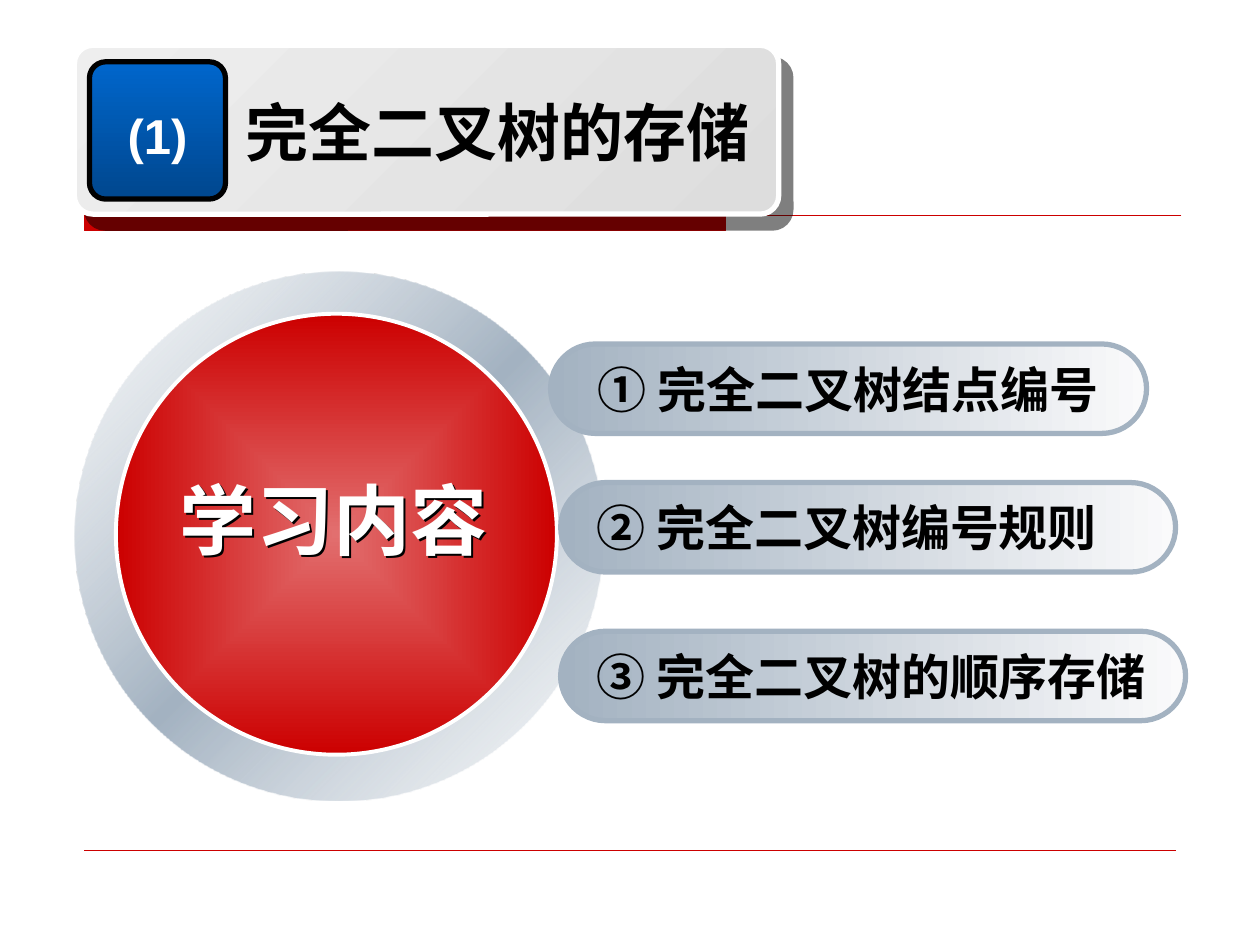
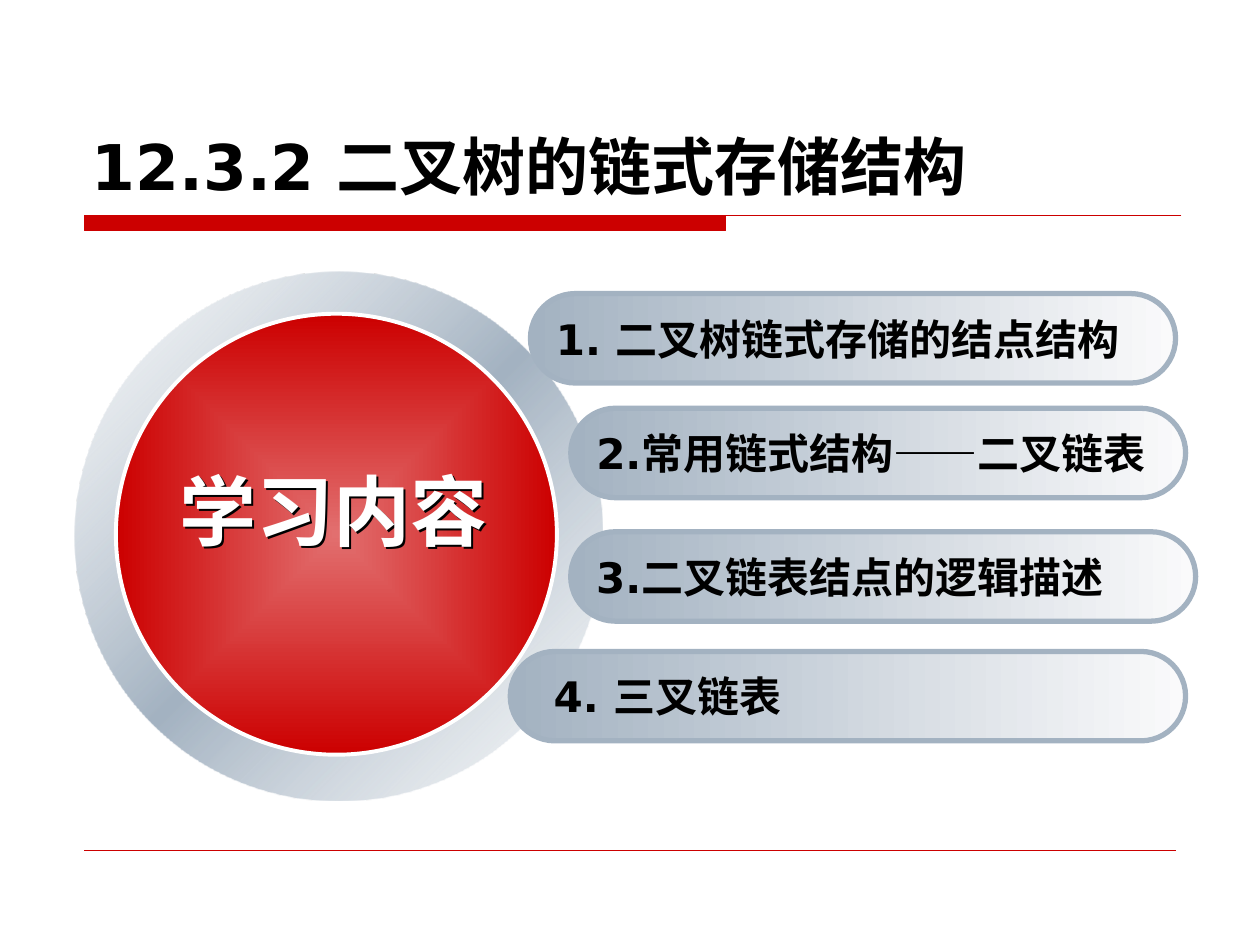
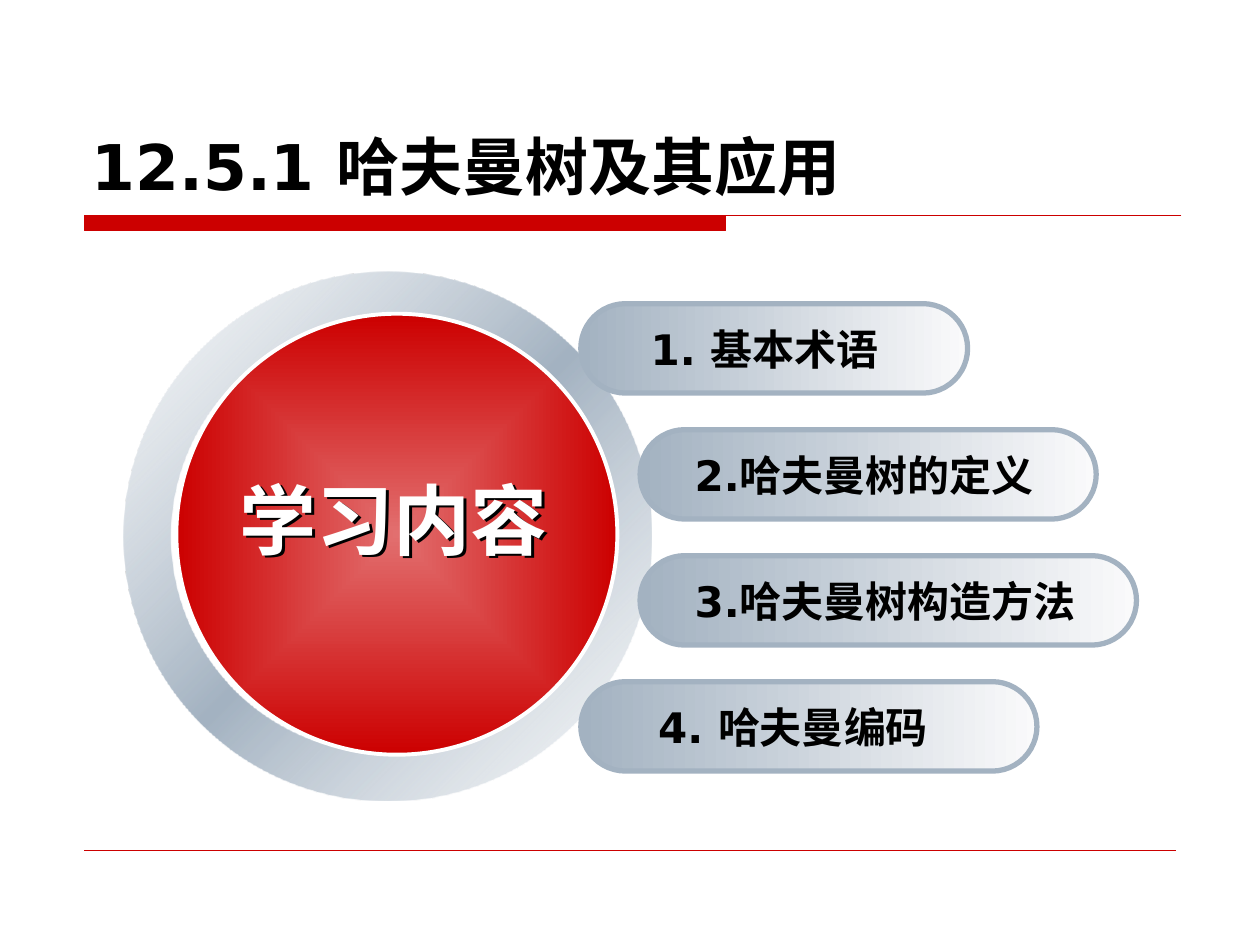
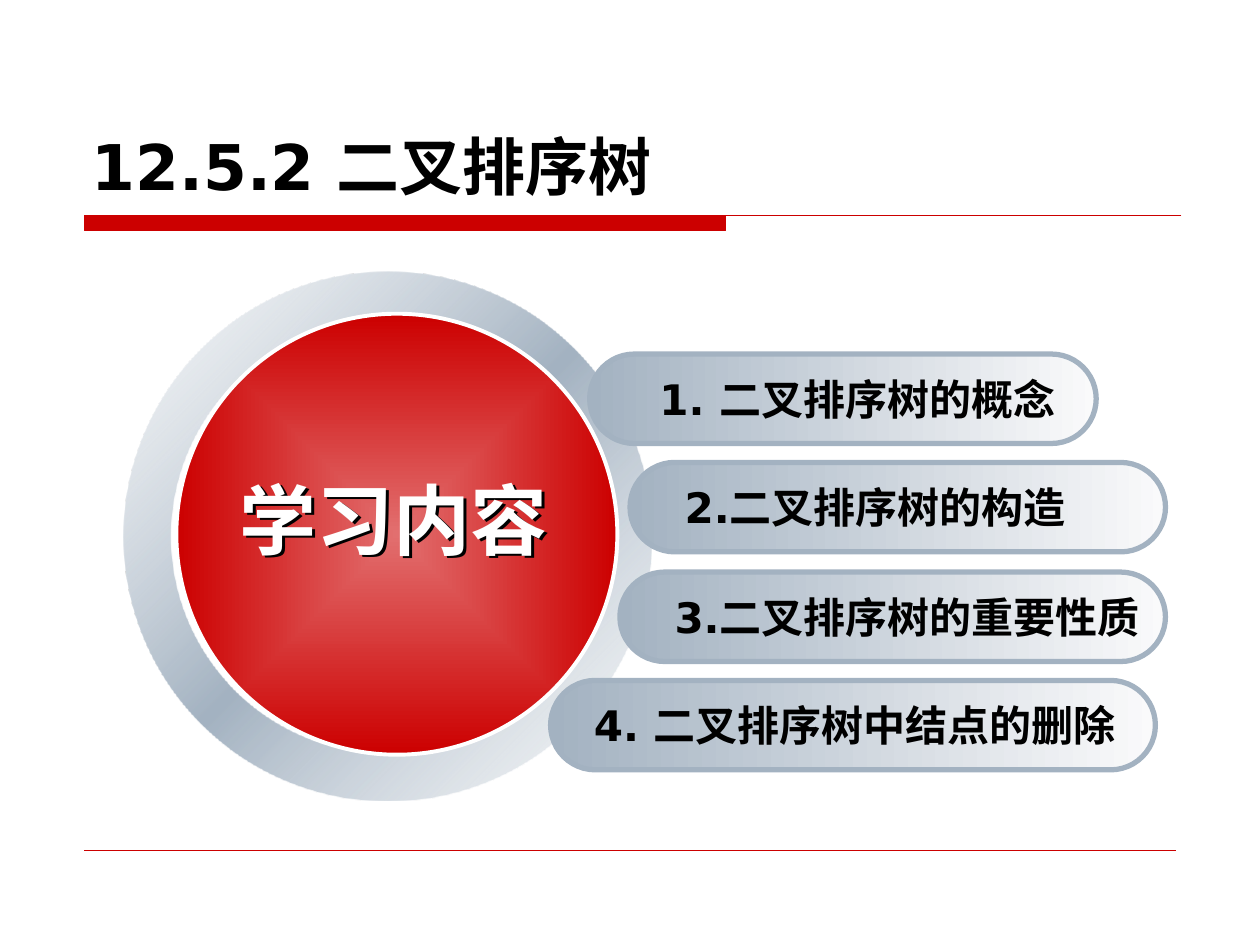
from lxml import etree
from pptx import Presentation
from pptx.dml.color import RGBColor
from pptx.enum.shapes import MSO_CONNECTOR, MSO_SHAPE
from pptx.enum.text import MSO_ANCHOR, PP_ALIGN
from pptx.oxml.ns import qn
from pptx.util import Inches, Pt

ROUNDED, OVAL, DONUT = MSO_SHAPE.ROUNDED_RECTANGLE, MSO_SHAPE.OVAL, MSO_SHAPE.DONUT
LINE = MSO_CONNECTOR.STRAIGHT
TOP, MIDDLE, BOTTOM = MSO_ANCHOR.TOP, MSO_ANCHOR.MIDDLE, MSO_ANCHOR.BOTTOM
LEFT, CENTER = PP_ALIGN.LEFT, PP_ALIGN.CENTER

COLORS = {
    "red": "CC0000", "rose": "E26F6F", "white": "FFFFFF", "black": "000000",
    "steel": "A3B2C1", "mist": "C7D0D9", "pale": "FAFAFB",
    "card_light": "EEEEEE", "card_dark": "DDDDDD",
    "blue": "0066CC", "navy": "00478E",
}
SANS, ARIAL, CJK = "DejaVu Sans", "Arial", "Noto Sans CJK SC"
PILL_HEIGHT = 0.71


def rgb(name):
    return RGBColor.from_string(COLORS[name])


def add_xml(parent, tag, **attrs):
    return etree.SubElement(parent, qn(tag), {k: str(v) for k, v in attrs.items()})


def add_color(parent, name, opacity=100):
    color = add_xml(parent, "a:srgbClr", val=COLORS[name])
    if opacity < 100:
        add_xml(color, "a:alpha", val=opacity * 1000)


def add_shadow(s, distance, angle, opacity=100):
    """Hard black shadow; on an unfilled box it falls from the text."""
    s.shadow.inherit = False
    effects = s._element.spPr.find(qn("a:effectLst"))
    shadow = add_xml(effects, "a:outerShdw", blurRad=0, dist=Pt(distance),
                     dir=angle * 60000, algn="ctr", rotWithShape=0)
    add_color(shadow, "black", opacity)


def set_gradient(s, stops, angle=None):
    """Linear gradient at an angle, or one spreading from the centre."""
    s.fill.gradient()
    grad = s._element.spPr.find(qn("a:gradFill"))
    for child in list(grad):
        grad.remove(child)
    stop_list = add_xml(grad, "a:gsLst")
    for position, name, *opacity in stops:
        add_color(add_xml(stop_list, "a:gs", pos=position * 1000), name, *opacity)
    if angle is None:
        centre = add_xml(grad, "a:path", path="rect")
        add_xml(centre, "a:fillToRect", l=50000, t=50000, r=50000, b=50000)
    else:
        add_xml(grad, "a:lin", ang=angle * 60000, scaled=0)


def add_shape(slide, kind, box, stops, angle=None, line=None, width=3, adj=None):
    s = slide.shapes.add_shape(kind, *map(Inches, box))
    s.shadow.inherit = False
    if adj is not None:
        s.adjustments[0] = adj
    set_gradient(s, stops, angle)
    if line:
        s.line.color.rgb = rgb(line)
        s.line.width = Pt(width)
    else:
        s.line.fill.background()
    return s


def write(s, runs, size, color="black", font=SANS, align=LEFT, anchor=TOP,
          wrap=True, indent=0):
    """Write one bold paragraph; runs are texts or (text, font) pairs."""
    tf = s.text_frame
    tf.word_wrap = wrap
    tf.vertical_anchor = anchor
    tf.margin_left = Inches(0.1 + indent)
    p = tf.paragraphs[0]
    p.alignment = align
    p.font.size, p.font.bold, p.font.name = Pt(size), True, font
    p.font.color.rgb = rgb(color)
    latin = p.font._element.find(qn("a:latin"))
    latin.addnext(latin.makeelement(qn("a:ea"), {"typeface": CJK}))
    for run in runs:
        text, run_font = (run, None) if isinstance(run, str) else run
        r = p.add_run()
        r.text = text
        if run_font:
            r.font.name = run_font


def add_text(slide, box, text, size, **style):
    s = slide.shapes.add_textbox(*map(Inches, box))
    write(s, [text], size, **style)
    return s


def add_frame(slide):
    """Red title band running out into a rule, and a thin footer line."""
    corners = [(9.37, 1.71), (5.76, 1.71), (5.76, 1.83), (0.67, 1.83)]
    outline = slide.shapes.build_freeform(Inches(0.67), Inches(1.71))
    outline.add_line_segments([(Inches(x), Inches(y)) for x, y in corners])
    band = outline.convert_to_shape()
    band.shadow.inherit = False
    band.fill.solid()
    band.fill.fore_color.rgb = rgb("red")
    band.line.color.rgb = rgb("red")
    band.line.width = Pt(0.75)

    footer = slide.shapes.add_connector(LINE, *map(Inches, (0.67, 6.75, 9.33, 6.75)))
    footer.line.color.rgb = rgb("red")
    footer.line.width = Pt(0.25)
    add_xml(footer._element.spPr, "a:effectLst")


def add_title(slide, text):
    add_text(slide, (0.63, 0.33, 8.75, 1.33), text, 36, anchor=BOTTOM)


def add_title_card(slide, number, text):
    card = add_shape(slide, ROUNDED, (0.59, 0.36, 5.59, 1.34),
                     [(0, "card_light"), (100, "card_dark")], 45, "white", adj=0.11)
    add_shadow(card, 10.6, 49, 50)
    add_shape(slide, ROUNDED, (0.71, 0.49, 1.08, 1.09),
              [(0, "blue"), (100, "navy")], 90, "black", adj=0.12)
    # The number box spans the badge so that it stays on one line
    add_text(slide, (0.71, 0.79, 1.08, 0.57), number, 28, color="white",
             font=ARIAL, align=CENTER)
    add_text(slide, (1.85, 0.69, 4.48, 0.7), text, 36, font=ARIAL)


def add_hub(slide, ring_x, disc_x, label_y=3.7):
    """Grey ring with the red disc and its label."""
    add_shape(slide, DONUT, (ring_x, 2.16, 4.19, 4.19),
              [(0, "mist", 12), (50, "steel"), (100, "mist", 12)], 45, adj=0.09)
    add_shape(slide, OVAL, (disc_x, 2.49, 3.5, 3.5),
              [(0, "rose"), (100, "red")], line="white", width=2.25)
    label = add_text(slide, (disc_x + 0.22, label_y, 3.01, 0.84), "学习内容", 44,
                     color="white", font=ARIAL, align=CENTER)
    add_shadow(label, 2, 45)


def add_pills(slide, pills, size=24):
    for x, y, width, indent, *runs in pills:
        s = add_shape(slide, ROUNDED, (x, y, width, PILL_HEIGHT),
                      [(0, "steel"), (100, "pale")], 0, "steel", adj=0.5)
        write(s, runs, size, anchor=MIDDLE, wrap=False, indent=indent)


def add_slide(prs):
    slide = prs.slides.add_slide(prs.slide_layouts[6])
    add_frame(slide)
    return slide


def main():
    prs = Presentation()
    prs.slide_width, prs.slide_height = Inches(10), Inches(7.5)

    # Storing a complete binary tree
    slide = add_slide(prs)
    add_title_card(slide, "(1)", "完全二叉树的存储")
    add_hub(slide, 0.59, 0.92)
    add_pills(slide, [
        (4.37, 2.73, 4.73, 0.17, "① 完全二叉树结点编号"),
        (4.45, 3.83, 4.88, 0.08, "② ", ("完全二叉树编号规则", CJK)),
        (4.45, 5.01, 4.96, 0.08, "③ ", ("完全二叉树的顺序存储", CJK)),
    ], size=28)

    # Linked storage
    slide = add_slide(prs)
    add_title(slide, "12.3.2 二叉树的链式存储结构")
    add_hub(slide, 0.59, 0.92, label_y=3.63)
    add_pills(slide, [
        (4.21, 2.33, 5.12, 0, "1. 二叉树链式存储的结点结构"),
        (4.53, 3.24, 4.88, 0, "2.常用链式结构", ("——", ARIAL), "二叉链表"),
        (4.53, 4.22, 4.96, 0, "3.二叉链表结点的逻辑描述"),
        (4.05, 5.17, 5.36, 0.14, "4. 三叉链表"),
    ])

    # Huffman trees
    slide = add_slide(prs)
    add_title(slide, "12.5.1 哈夫曼树及其应用")
    add_hub(slide, 0.98, 1.4)
    add_pills(slide, [
        (4.61, 2.41, 3.07, 0.35, "1. 基本术语"),
        (5.08, 3.41, 3.62, 0.23, "2.哈夫曼树的定义"),
        (5.08, 4.41, 3.94, 0.23, "3.哈夫曼树构造方法"),
        (4.61, 5.41, 3.62, 0.41, "4. 哈夫曼编码"),
    ])

    # Binary sort trees
    slide = add_slide(prs)
    add_title(slide, "12.5.2 二叉排序树")
    add_hub(slide, 0.98, 1.4)
    add_pills(slide, [
        (4.68, 2.81, 4.02, 0.35, "1. 二叉排序树的概念"),
        (5, 3.67, 4.25, 0.23, "2.二叉排序树的构造"),
        (4.92, 4.54, 4.33, 0.23, "3.二叉排序树的重要性质"),
        (4.37, 5.4, 4.8, 0.14, "4. 二叉排序树中结点的删除"),
    ])

    prs.save("out.pptx")


if __name__ == "__main__":
    main()
